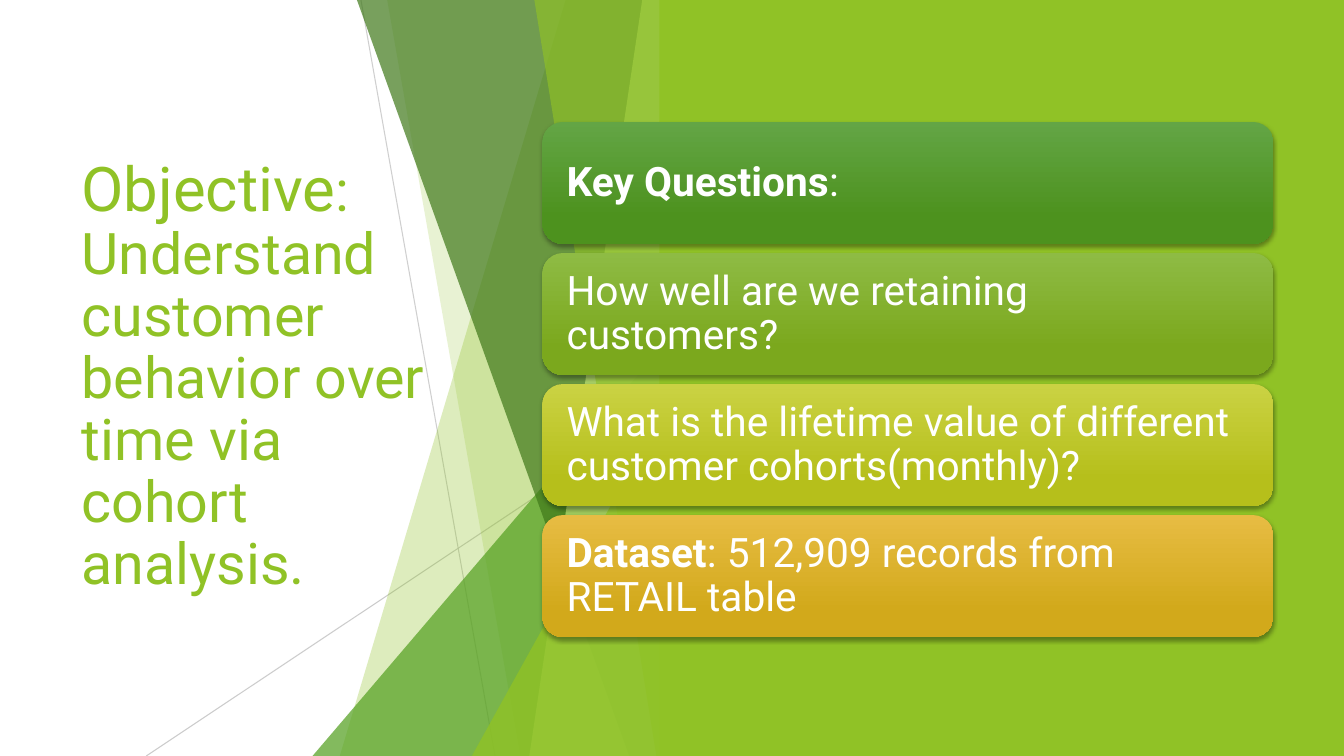
from lxml import etree
from pptx import Presentation
from pptx.dml.color import RGBColor
from pptx.enum.shapes import MSO_CONNECTOR, MSO_SHAPE
from pptx.enum.text import MSO_ANCHOR, MSO_AUTO_SIZE, PP_ALIGN
from pptx.oxml.ns import qn
from pptx.util import Inches, Pt

FONT = "Roboto"
WHITE = RGBColor(0xFF, 0xFF, 0xFF)
LIME = RGBColor(0x90, 0xC2, 0x26)
GREEN = RGBColor(0x54, 0xA0, 0x21)
DARK_GREEN = RGBColor(0x3F, 0x78, 0x19)
PALE_LIME = RGBColor(0xC0, 0xE4, 0x74)
GREY = RGBColor(0xBF, 0xBF, 0xBF)
STRAIGHT = MSO_CONNECTOR.STRAIGHT
TRIANGLE, RECT = MSO_SHAPE.RIGHT_TRIANGLE, MSO_SHAPE.RECTANGLE
ISOSCELES, ROUNDED = MSO_SHAPE.ISOSCELES_TRIANGLE, MSO_SHAPE.ROUNDED_RECTANGLE
LEFT, MIDDLE, NO_FIT = PP_ALIGN.LEFT, MSO_ANCHOR.MIDDLE, MSO_AUTO_SIZE.NONE

# (text, size, bold)
TITLE = [("Objective", 44, False),
         (": Understand customer behavior over time via cohort analysis.", 41, False)]
# runs, top colour, lower colour
PANELS = [
    ([("Key Questions", 29, True), (":", 29, False)], "63A545", "4D921E"),
    ([("How well are we retaining customers?", 29, False)], "8EBB44", "7BA81D"),
    ([("What is the lifetime value of different customer cohorts(monthly)?", 29, False)],
     "CAD243", "B6BF1B"),
    ([("Dataset", 29, True), (": 512,909 records from RETAIL table", 29, False)],
     "E7BC43", "D2A91B"),
]
# x1, y1, x2, y2, opacity %
RAYS = [(3.58, 0, 4.91, 7.5, 75), (6.66, 4.03, 1.45, 7.5, 80)]
# x at the peak, y of the peak, x at the slide bottom, colour, opacity %
# A facet whose peak is below the slide top is a triangle.
FACETS = [
    (5.61, 0, 3.37, LIME, 30),
    (3.84, 0, 5.16, LIME, 20),
    (6.66, 3.33, 3.1, GREEN, 72),
    (3.54, 0, 6.24, DARK_GREEN, 70),
    (6.37, 0, 5.25, PALE_LIME, 70),
    (5.3, 0, 6.51, LIME, 65),
    (6.66, 3.93, 4.68, LIME, 80),
]
FACET_RIGHT, BOTTOM = 6.66, 7.5
PANEL_LEFT, PANEL_TOP, PANEL_W, PANEL_H, PANEL_STEP = 5.38, 1.21, 7.25, 1.21, 1.3


def set_opacity(shape, percent):
    color = next(shape._element.spPr.iter(qn("a:srgbClr")))
    etree.SubElement(color, qn("a:alpha"), val=str(percent * 1000))


def paint(shape, color):
    shape.shadow.inherit = False
    shape.fill.solid()
    shape.fill.fore_color.rgb = color
    shape.line.fill.background()


def add_ray(s, x1, y1, x2, y2, opacity):
    ray = s.shapes.add_connector(STRAIGHT, Inches(x1), Inches(y1), Inches(x2), Inches(y2))
    ray.line.color.rgb = GREY
    ray.line.width = Pt(0.75)
    set_opacity(ray, opacity)
    etree.SubElement(ray._element.spPr, qn("a:effectLst"))


def add_facet(s, peak_x, peak_y, foot_x, color, opacity):
    if peak_y:
        facet = s.shapes.add_shape(ISOSCELES, Inches(foot_x), Inches(peak_y),
                                   Inches(FACET_RIGHT - foot_x), Inches(BOTTOM - peak_y))
        facet.adjustments[0] = 1
    else:
        builder = s.shapes.build_freeform(Inches(peak_x), 0)
        corners = [(FACET_RIGHT, 0), (FACET_RIGHT, BOTTOM), (foot_x, BOTTOM)]
        builder.add_line_segments([(Inches(x), Inches(y)) for x, y in corners])
        facet = builder.convert_to_shape()
    paint(facet, color)
    set_opacity(facet, opacity)


def write(tf, runs, color):
    tf.word_wrap = True
    tf.auto_size = NO_FIT
    tf.vertical_anchor = MIDDLE
    p = tf.paragraphs[0]
    p.alignment = LEFT
    p.line_spacing = 0.9
    for text, size, bold in runs:
        r = p.add_run()
        r.text = text
        r.font.name = FONT
        r.font.size = Pt(size)
        r.font.bold = bold
        r.font.color.rgb = color


def add_panel(s, top, runs, upper, lower):
    panel = s.shapes.add_shape(ROUNDED, Inches(PANEL_LEFT), Inches(top),
                               Inches(PANEL_W), Inches(PANEL_H))
    panel.line.fill.background()
    panel.fill.gradient()
    panel.fill.gradient_angle = 270
    for stop, position, color in zip(panel.fill.gradient_stops, (0, 0.78), (upper, lower)):
        stop.position = position
        stop.color.rgb = RGBColor.from_string(color)
    panel.shadow.inherit = False
    effects = panel._element.spPr.find(qn("a:effectLst"))
    shadow = etree.SubElement(effects, qn("a:outerShdw"), blurRad=str(Pt(3)),
                              dist=str(Pt(2)), dir="5400000", rotWithShape="0")
    black = etree.SubElement(shadow, qn("a:srgbClr"), val="000000")
    etree.SubElement(black, qn("a:alpha"), val="35000")
    tf = panel.text_frame
    tf.margin_left = tf.margin_right = tf.margin_top = tf.margin_bottom = Inches(0.18)
    write(tf, runs, WHITE)


def main():
    prs = Presentation()
    prs.slide_width, prs.slide_height = Inches(13.33), Inches(7.5)
    s = prs.slides.add_slide(prs.slide_layouts[5])

    title = s.shapes.title
    title.left, title.top = Inches(0.71), Inches(1.51)
    title.width, title.height = Inches(3.88), Inches(4.48)
    write(title.text_frame, TITLE, LIME)

    for ray in RAYS:
        add_ray(s, *ray)
    for facet in FACETS:
        add_facet(s, *facet)
    backdrop = s.shapes.add_shape(RECT, Inches(6.54), 0, Inches(6.79), Inches(BOTTOM))
    paint(backdrop, LIME)
    for i, panel in enumerate(PANELS):
        add_panel(s, PANEL_TOP + i * PANEL_STEP, *panel)

    prs.save("out.pptx")


if __name__ == "__main__":
    main()
